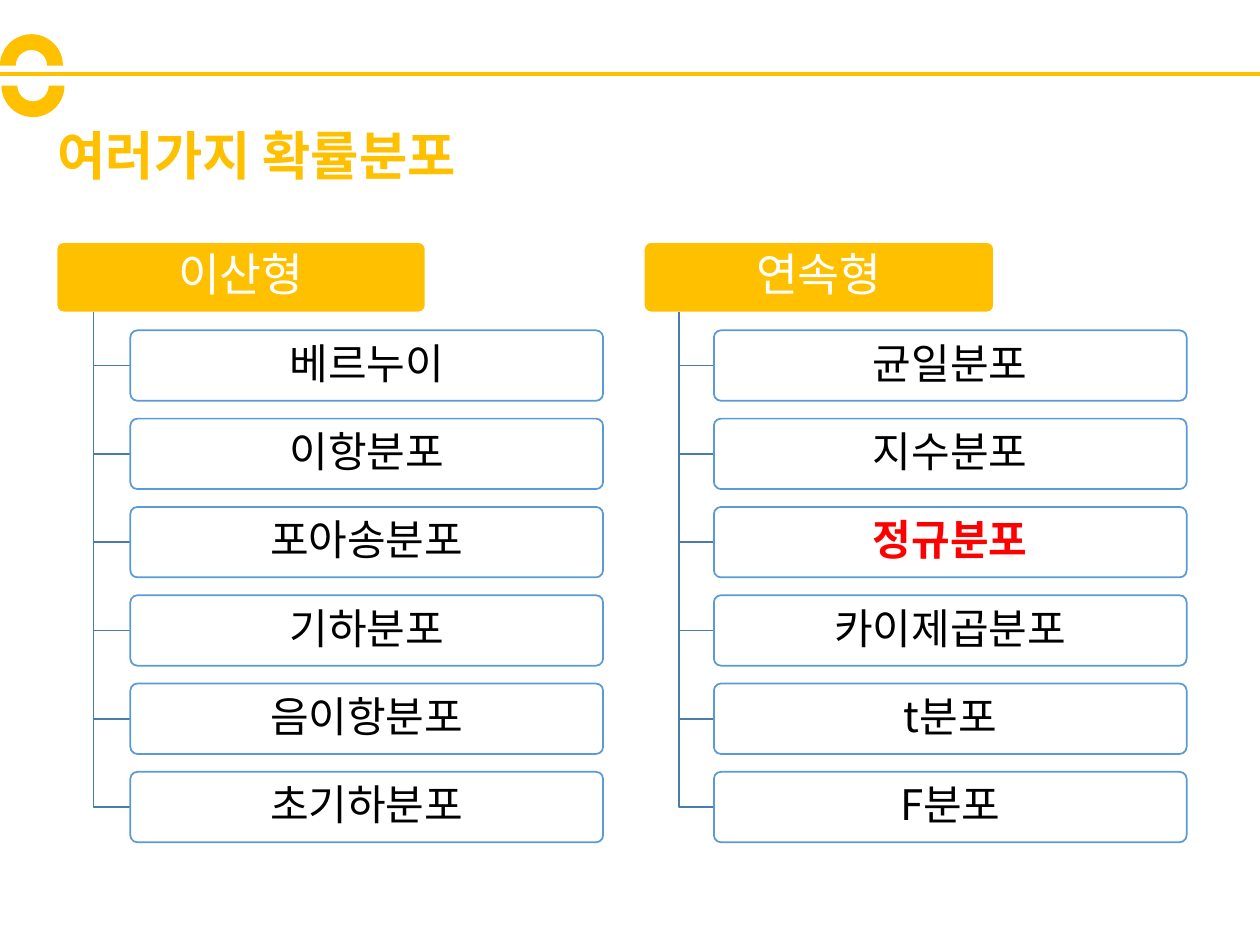
from lxml.etree import SubElement
from pptx import Presentation
from pptx.dml.color import RGBColor
from pptx.enum.shapes import MSO_CONNECTOR, MSO_SHAPE
from pptx.enum.text import MSO_ANCHOR, PP_ALIGN
from pptx.oxml.ns import qn
from pptx.util import Cm, Pt

GOLD, WHITE, BLACK, RED = "FFC000", "FFFFFF", "000000", "FF0000"
BOX_LINE, BRANCH_LINE = "5B9BD5", "497CAB"
LATIN_FONT, KOREAN_FONT = "Calibri", "Noto Sans CJK KR"
TOP, BOX_W, BOX_H, PITCH = 4.88, 9.53, 1.42, 1.78
HIGHLIGHT = "정규분포"
TREES = [
    (1.14, 7.44, "이산형",
     ["베르누이", "이항분포", "포아송분포", "기하분포", "음이항분포", "초기하분포"]),
    (12.98, 7.06, "연속형",
     ["균일분포", "지수분포", HIGHLIGHT, "카이제곱분포", "t분포", "F분포"]),
]


def rgb(color):
    """Turn a hex string into a colour."""
    return RGBColor.from_string(color)


def set_line(sp, color, width):
    """Give a shape or connector a solid line."""
    sp.line.color.rgb = rgb(color)
    sp.line.width = Pt(width)


def add_run(p, text, size, color, bold=False, font=KOREAN_FONT):
    """Add a run with its Latin and East Asian fonts."""
    r = p.add_run()
    r.text = text
    r.font.name = font
    r.font.size = Pt(size)
    r.font.bold = bold
    r.font.color.rgb = rgb(color)
    SubElement(r.font._element, qn("a:ea"), typeface=KOREAN_FONT)


def add_title(s, text):
    """Add the slide title."""
    tf = s.shapes.add_textbox(Cm(0.91), Cm(2.82), Cm(9.78), Cm(0.74)).text_frame
    tf.word_wrap = True
    tf.vertical_anchor = MSO_ANCHOR.MIDDLE
    p = tf.paragraphs[0]
    p.line_spacing = 0.9
    add_run(p, text, 30, GOLD, True, LATIN_FONT)


def add_rule(s, y):
    """Add the gold line across the slide."""
    c = s.shapes.add_connector(MSO_CONNECTOR.STRAIGHT, 0, Cm(y), Cm(25.4), Cm(y))
    set_line(c, GOLD, 2.25)
    SubElement(c._element.spPr, qn("a:effectLst"))


def add_arc(s, x, y, rotation):
    """Add one half of the ring ornament."""
    sp = s.shapes.add_shape(MSO_SHAPE.BLOCK_ARC, Cm(x), Cm(y), Cm(1.27), Cm(1.27))
    sp.rotation = rotation
    sp.shadow.inherit = False
    sp.fill.solid()
    sp.fill.fore_color.rgb = rgb(GOLD)
    sp.line.fill.background()


def add_box(shapes, x, y, w, text, size, fill, line, color, bold=False):
    """Add a rounded box with centred text."""
    sp = shapes.add_shape(MSO_SHAPE.ROUNDED_RECTANGLE, Cm(x), Cm(y), Cm(w), Cm(BOX_H))
    sp.adjustments[0] = 0.1
    sp.shadow.inherit = False
    sp.fill.solid()
    sp.fill.fore_color.rgb = rgb(fill)
    set_line(sp, line, 1)
    tf = sp.text_frame
    tf.word_wrap = True
    tf.vertical_anchor = MSO_ANCHOR.MIDDLE
    tf.margin_left = tf.margin_right = Cm(0.13)
    tf.margin_top = tf.margin_bottom = Cm(0.09)
    p = tf.paragraphs[0]
    p.alignment = PP_ALIGN.CENTER
    p.line_spacing = 0.9
    p.space_after = Pt(size * 0.35)
    add_run(p, text, size, color, bold)


def add_branch(shapes, x, y, end_x, end_y):
    """Add an elbow line from a header down to a box."""
    fb = shapes.build_freeform(Cm(x), Cm(y))
    fb.add_line_segments([(Cm(x), Cm(end_y)), (Cm(end_x), Cm(end_y))], close=False)
    sp = fb.convert_to_shape()
    sp.shadow.inherit = False
    sp.fill.background()
    set_line(sp, BRANCH_LINE, 1)


def add_tree(s, x, header_w, header, names):
    """Add a header with its distributions below it."""
    shapes = s.shapes.add_group_shape().shapes
    add_box(shapes, x, TOP, header_w, header, 26, GOLD, WHITE, WHITE)
    trunk_x, box_x = x + header_w * 0.1, x + header_w * 0.2
    for i, name in enumerate(names, 1):
        y = TOP + i * PITCH
        marked = name == HIGHLIGHT
        add_branch(shapes, trunk_x, TOP + BOX_H, box_x, y + BOX_H / 2)
        add_box(shapes, box_x, y, BOX_W, name, 24, WHITE, BOX_LINE,
                RED if marked else BLACK, marked)


def main():
    """Build and save the slide."""
    prs = Presentation()
    prs.slide_width, prs.slide_height = Cm(25.4), Cm(19.05)
    s = prs.slides.add_slide(prs.slide_layouts[6])
    add_rule(s, 1.5)
    add_title(s, "여러가지 확률분포")
    add_arc(s, 0, 0.69, 0)
    add_arc(s, 0.03, 1.09, 180)
    for tree in TREES:
        add_tree(s, *tree)
    prs.save("out.pptx")


if __name__ == "__main__":
    main()
